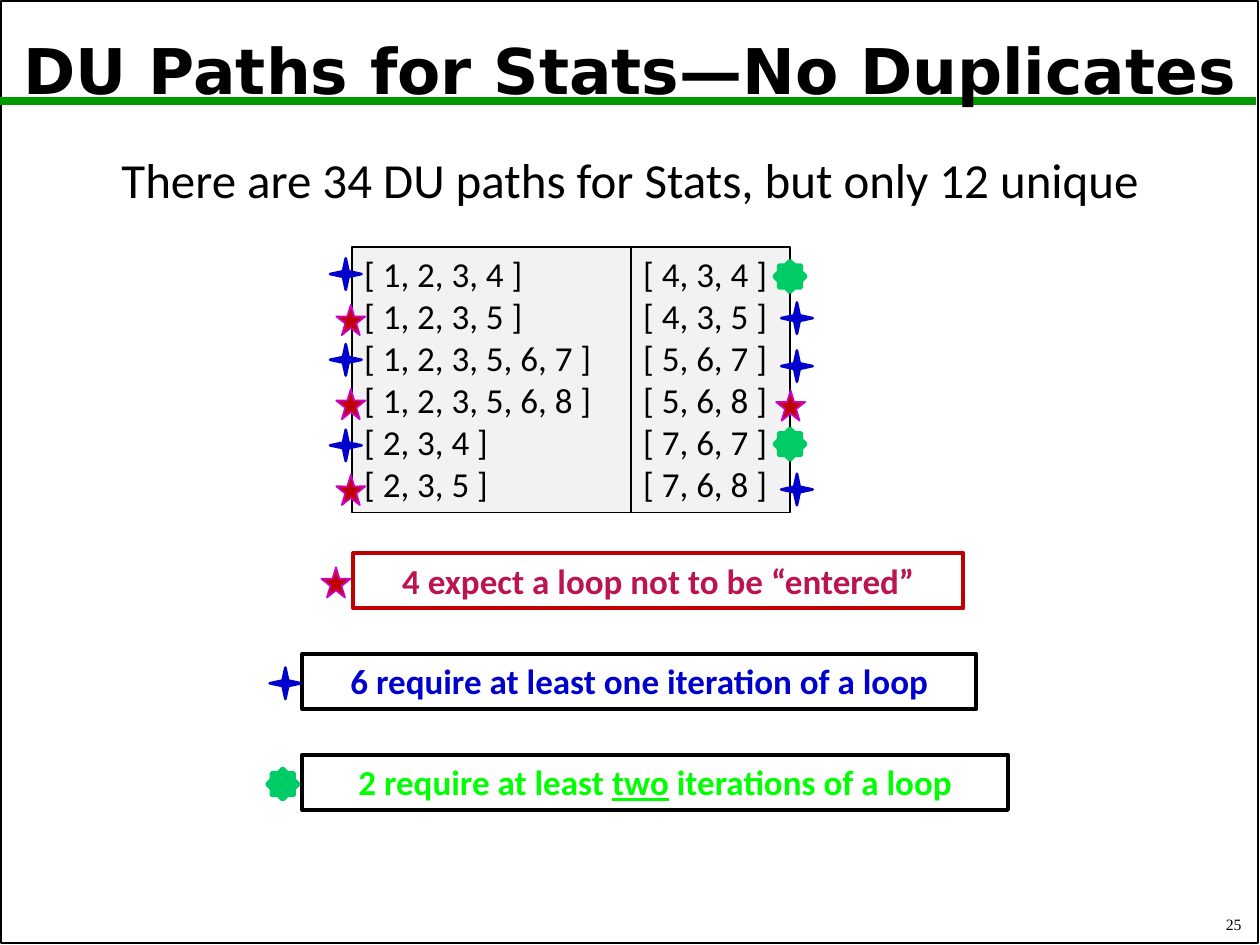
from pptx import Presentation
from pptx.dml.color import RGBColor
from pptx.enum.shapes import MSO_CONNECTOR, MSO_SHAPE
from pptx.enum.text import MSO_ANCHOR, PP_ALIGN
from pptx.oxml.ns import qn
from pptx.util import Pt
from lxml.etree import SubElement

# Content
TITLE = "DU Paths for Stats—No Duplicates"
INTRO = "There are 34 DU paths for Stats, but only 12 unique"
PAGE = "25"
# Path columns: left, width, then (path, marker kind, marker centre y)
COLUMNS = [
    (201, 159.5, [
        ("[ 1, 2, 3, 4 ]", "once", 156.6),
        ("[ 1, 2, 3, 5 ]", "skip", 182.9),
        ("[ 1, 2, 3, 5, 6, 7 ]", "once", 205.6),
        ("[ 1, 2, 3, 5, 6, 8 ]", "skip", 231),
        ("[ 2, 3, 4 ]", "once", 254.5),
        ("[ 2, 3, 5 ]", "skip", 280),
    ]),
    (360.5, 91, [
        ("[ 4, 3, 4 ]", "twice", 158),
        ("[ 4, 3, 5 ]", "once", 181.8),
        ("[ 5, 6, 7 ]", "once", 209.2),
        ("[ 5, 6, 8 ]", "skip", 231.8),
        ("[ 7, 6, 7 ]", "twice", 253.8),
        ("[ 7, 6, 8 ]", "once", 279.7),
    ]),
]
# Legend rows: kind, left, width, marker centre x, runs of (text, underlined)
LEGEND = [
    ("skip", 202, 348.5, 192, [("4 expect a loop not to be “entered”", False)]),
    ("once", 172.8, 385.2, 163.1,
     [("6 require at least one iteration of a loop", False)]),
    ("twice", 172.8, 403.2, 161.6,
     [("2 require at least ", False), ("two", True),
      (" iterations of a loop", False)]),
]

THEME = {
    "black": "000000", "white": "FFFFFF", "rule": "009900", "panel": "F2F2F2",
    "title": {"name": "DejaVu Sans", "size": Pt(36), "bold": True},
    "intro": {"name": "Calibri", "size": Pt(28)},
    "path": {"name": "Calibri", "size": Pt(20)},
    "legend": {"name": "Calibri", "size": Pt(20), "bold": True},
    "page": {"name": "Times New Roman", "size": Pt(9)},
}
# Marker: shape, adjustment, size, fill, line, line width, centre x per column;
# text and border colour its legend box
MARKERS = {
    "skip": {"shape": MSO_SHAPE.STAR_5_POINT, "adj": None, "size": (16.6, 17.3),
             "fill": "C00000", "line": "CC00CC", "width": 1,
             "xs": (200.5, 451.8), "text": "BC1450", "border": "C00000"},
    "once": {"shape": MSO_SHAPE.STAR_4_POINT, "adj": 0.125, "size": (18, 18),
             "fill": "0000CC", "line": "0000CC", "width": 1.5,
             "xs": (197.6, 455.4), "text": "0000CC", "border": "000000"},
    "twice": {"shape": MSO_SHAPE.STAR_8_POINT, "adj": 0.383, "size": (18, 18),
              "fill": "00CC66", "line": "00CC66", "width": 2.25,
              "xs": (451.4, 451.4), "text": "00FF00", "border": "000000"},
}
PANEL_TOP, PANEL_HEIGHT = 141, 152
LEGEND_TOP, LEGEND_STEP, LEGEND_HEIGHT = 316, 57.6, 31.7


def rgb(value):
    return RGBColor.from_string(value)


def add_shape(s, kind, box, fill, line, width):
    sp = s.shapes.add_shape(kind, *map(Pt, box))
    sp.shadow.inherit = False
    if fill:
        sp.fill.solid()
        sp.fill.fore_color.rgb = rgb(fill)
    else:
        sp.fill.background()
    sp.line.color.rgb = rgb(line)
    sp.line.width = Pt(width)
    return sp


def write(sp, paragraphs, style, color=THEME["black"], align=PP_ALIGN.CENTER,
          anchor=MSO_ANCHOR.TOP, spacing=None):
    tf = sp.text_frame
    tf.word_wrap = True
    tf.vertical_anchor = anchor
    for i, runs in enumerate(paragraphs):
        p = tf.paragraphs[0] if i == 0 else tf.add_paragraph()
        p.alignment = align
        p.line_spacing = spacing
        for text, underlined in runs:
            r = p.add_run()
            r.text = text
            for key, value in THEME[style].items():
                setattr(r.font, key, value)
            r.font.color.rgb = rgb(color)
            if underlined:
                r.font.underline = True


def add_text(s, box, text, style, **options):
    sp = s.shapes.add_textbox(*map(Pt, box))
    write(sp, [[(text, False)]], style, **options)


def add_marker(s, kind, x, y):
    m = MARKERS[kind]
    w, h = m["size"]
    sp = add_shape(s, m["shape"], (x - w / 2, y - h / 2, w, h),
                   m["fill"], m["line"], m["width"])
    if m["adj"] is not None:
        sp.adjustments[0] = m["adj"]


def main():
    prs = Presentation()
    prs.slide_width, prs.slide_height = Pt(720), Pt(540)
    s = prs.slides.add_slide(prs.slide_layouts[6])

    # Frame and title rule
    add_shape(s, MSO_SHAPE.RECTANGLE, (0.7, 0.7, 718, 538), None, THEME["black"], 1)
    rule = s.shapes.add_connector(MSO_CONNECTOR.STRAIGHT,
                                  *map(Pt, (0, 57.6, 718, 57.6)))
    rule.line.color.rgb = rgb(THEME["rule"])
    rule.line.width = Pt(4.5)
    SubElement(rule.element.spPr, qn("a:effectLst"))

    # Headings and page number
    add_text(s, (566.6, 516.2, 150, 21), PAGE, "page",
             align=PP_ALIGN.RIGHT, anchor=MSO_ANCHOR.BOTTOM)
    add_text(s, (3.6, 7.9, 712.8, 68.4), TITLE, "title",
             anchor=MSO_ANCHOR.MIDDLE, spacing=0.9)
    add_text(s, (10.8, 85.7, 698.4, 46), INTRO, "intro", spacing=0.9)

    # Path panels, then their markers on top
    for left, width, paths in COLUMNS:
        sp = add_shape(s, MSO_SHAPE.RECTANGLE, (left, PANEL_TOP, width, PANEL_HEIGHT),
                       THEME["panel"], THEME["black"], 1)
        write(sp, [[(path, False)] for path, _, _ in paths], "path",
              align=PP_ALIGN.LEFT)
    for col, (_, _, paths) in enumerate(COLUMNS):
        for _, kind, y in paths:
            add_marker(s, kind, MARKERS[kind]["xs"][col], y)

    # Legend
    for i, (kind, left, width, x, runs) in enumerate(LEGEND):
        top = LEGEND_TOP + i * LEGEND_STEP
        sp = add_shape(s, MSO_SHAPE.RECTANGLE, (left, top, width, LEGEND_HEIGHT),
                       THEME["white"], MARKERS[kind]["border"], 2.25)
        write(sp, [runs], "legend", color=MARKERS[kind]["text"])
        add_marker(s, kind, x, top + LEGEND_HEIGHT / 2 + 1)

    prs.save("out.pptx")


if __name__ == "__main__":
    main()
